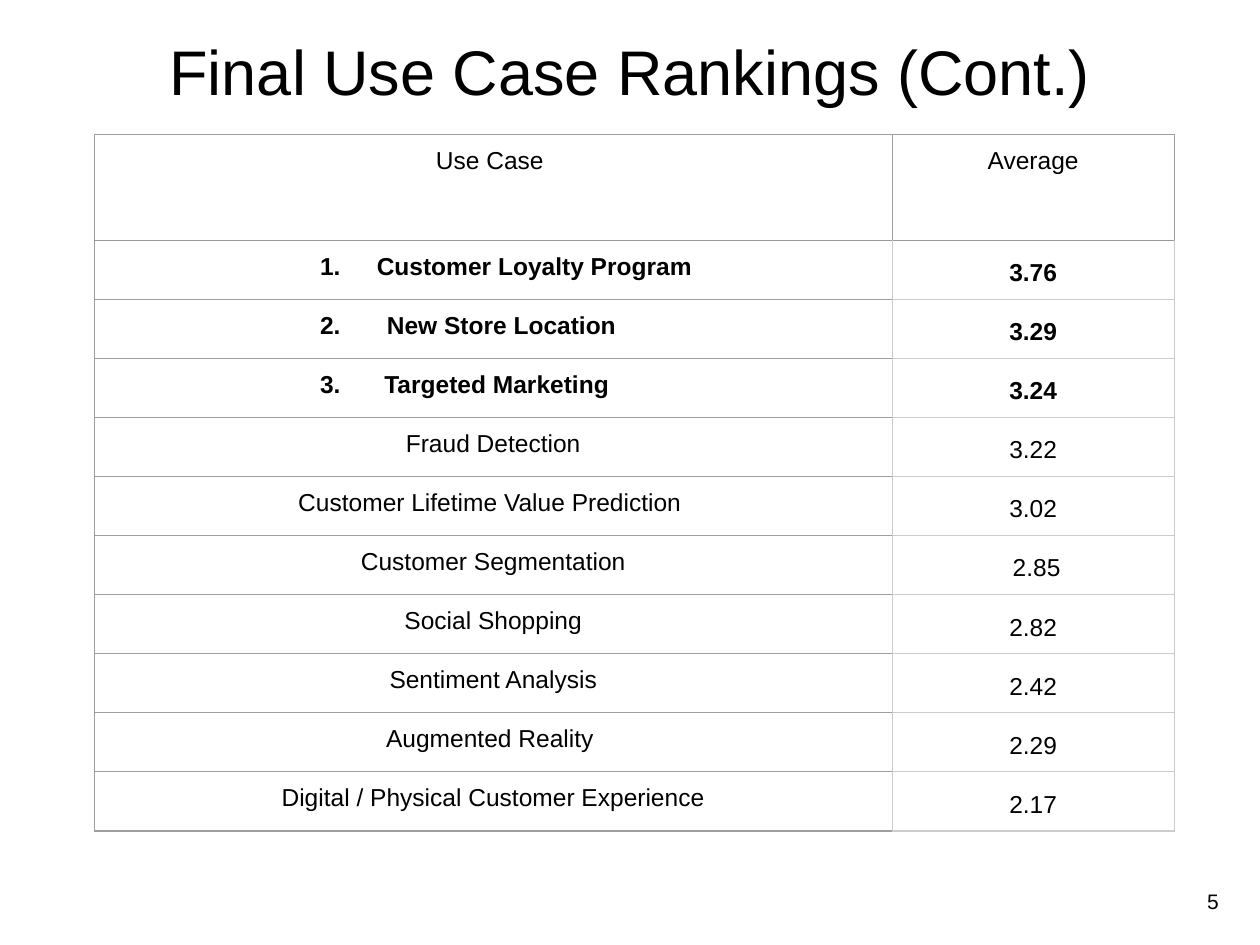
from dataclasses import dataclass

from pptx import Presentation
from pptx.dml.color import RGBColor
from pptx.enum.text import MSO_ANCHOR as Anchor, PP_ALIGN as Align
from pptx.oxml.xmlchemy import OxmlElement as Element
from pptx.util import Inches, Pt


@dataclass(frozen=True)
class Theme:
    font: str = "Arial"
    ink: str = "000000"
    dark_line: str = "9E9E9E"
    header_line: str = "999999"
    light_line: str = "CCCCCC"
    line_width: float = 0.75
    title: int = 36
    body: int = 14
    page: int = 12


THEME = Theme()
HEADER = ("Use Case ", "Average")
RANKINGS = [
    ("Customer Loyalty Program ", "3.76"),
    ("New Store Location", "3.29"),
    ("Targeted Marketing", "3.24"),
    ("Fraud Detection", "3.22"),
    ("Customer Lifetime Value Prediction ", "3.02"),
    ("Customer Segmentation", " 2.85"),
    ("Social Shopping", "2.82"),
    ("Sentiment Analysis", "2.42"),
    ("Augmented Reality ", "2.29"),
    ("Digital / Physical Customer Experience", "2.17"),
]
COLUMN_WIDTHS = (6.33, 2.24)
HEADER_HEIGHT, ROW_HEIGHT = 0.84, 0.45
NUMBER_INDENT = 1.69
TOP_INDENTS = (2.14, 2.22, 2.2)  # text starts of the numbered top three


def write(tf, text, size, align=Align.CENTER, bold=False):
    tf.text = text
    p = tf.paragraphs[0]
    p.alignment = align
    for r in p.runs:
        r.font.name = THEME.font
        r.font.size = Pt(size)
        r.font.bold = bold
        r.font.color.rgb = RGBColor.from_string(THEME.ink)
    return p


def add_label(slide, box, text, size, align):
    sp = slide.shapes.add_textbox(*map(Inches, box))
    tf = sp.text_frame
    tf.word_wrap = True
    tf.vertical_anchor = Anchor.MIDDLE
    write(tf, text, size, align)


def number_paragraph(p, number, indent):
    pPr = p._p.get_or_add_pPr()
    pPr.set("marL", str(Inches(indent)))
    pPr.set("indent", str(Inches(NUMBER_INDENT - indent)))
    bullet = Element("a:buAutoNum")
    bullet.set("type", "arabicPeriod")
    bullet.set("startAt", str(number))
    pPr.append(bullet)


def set_borders(cell, left, right, top, bottom):
    tcPr = cell._tc.get_or_add_tcPr()
    sides = zip(("L", "R", "T", "B"), (left, right, top, bottom))
    for i, (side, color) in enumerate(sides):
        ln = Element(f"a:ln{side}")
        ln.set("w", str(Pt(THEME.line_width)))
        fill, clr = Element("a:solidFill"), Element("a:srgbClr")
        clr.set("val", color)
        fill.append(clr)
        ln.append(fill)
        tcPr.insert(i, ln)  # borders come before the fill


def style_cell(cell, side_margin, anchor, borders):
    cell.margin_left = cell.margin_right = Inches(side_margin)
    cell.margin_top = cell.margin_bottom = Inches(0.1)
    cell.vertical_anchor = anchor
    cell.fill.background()
    set_borders(cell, *borders)


def add_rankings(slide, left, top):
    rows = len(RANKINGS) + 1
    height = HEADER_HEIGHT + ROW_HEIGHT * len(RANKINGS)
    frame = slide.shapes.add_table(
        rows, 2, *map(Inches, (left, top, sum(COLUMN_WIDTHS), height)))
    table = frame.table
    table.first_row = table.horz_banding = False
    for column, width in zip(table.columns, COLUMN_WIDTHS):
        column.width = Inches(width)
    for i, row in enumerate(table.rows):
        row.height = Inches(ROW_HEIGHT if i else HEADER_HEIGHT)

    # Header row
    dark, light, rule = THEME.dark_line, THEME.light_line, THEME.header_line
    for col, text in enumerate(HEADER):
        cell = table.cell(0, col)
        style_cell(cell, 0.1, Anchor.TOP, (dark, dark, dark, rule))
        write(cell.text_frame, text, THEME.body)

    # Use cases, the top three numbered and bold
    for i, (name, average) in enumerate(RANKINGS, start=1):
        is_top = i <= len(TOP_INDENTS)
        cell = table.cell(i, 0)
        above = rule if i == 1 else dark
        style_cell(cell, 0.1, Anchor.TOP, (dark, light, above, dark))
        align = Align.LEFT if is_top else Align.CENTER
        p = write(cell.text_frame, name, THEME.body, align, is_top)
        if is_top:
            number_paragraph(p, i, TOP_INDENTS[i - 1])

        cell = table.cell(i, 1)
        above = rule if i == 1 else light
        style_cell(cell, 0.03, Anchor.BOTTOM, (light, light, above, light))
        p = write(cell.text_frame, average, THEME.body, bold=is_top)
        p.line_spacing = 1.15


def main():
    prs = Presentation()
    prs.slide_width, prs.slide_height = Inches(10), Inches(7.5)
    s = prs.slides.add_slide(prs.slide_layouts[6])

    # Title, page number and table
    add_label(s, (0.75, -0.25, 8.5, 1.61), "Final Use Case Rankings (Cont.)",
              THEME.title, Align.CENTER)
    add_label(s, (9.12, 6.95, 0.65, 0.4), "5", THEME.page, Align.RIGHT)
    add_rankings(s, 0.75, 1.07)

    prs.save("out.pptx")


if __name__ == "__main__":
    main()
